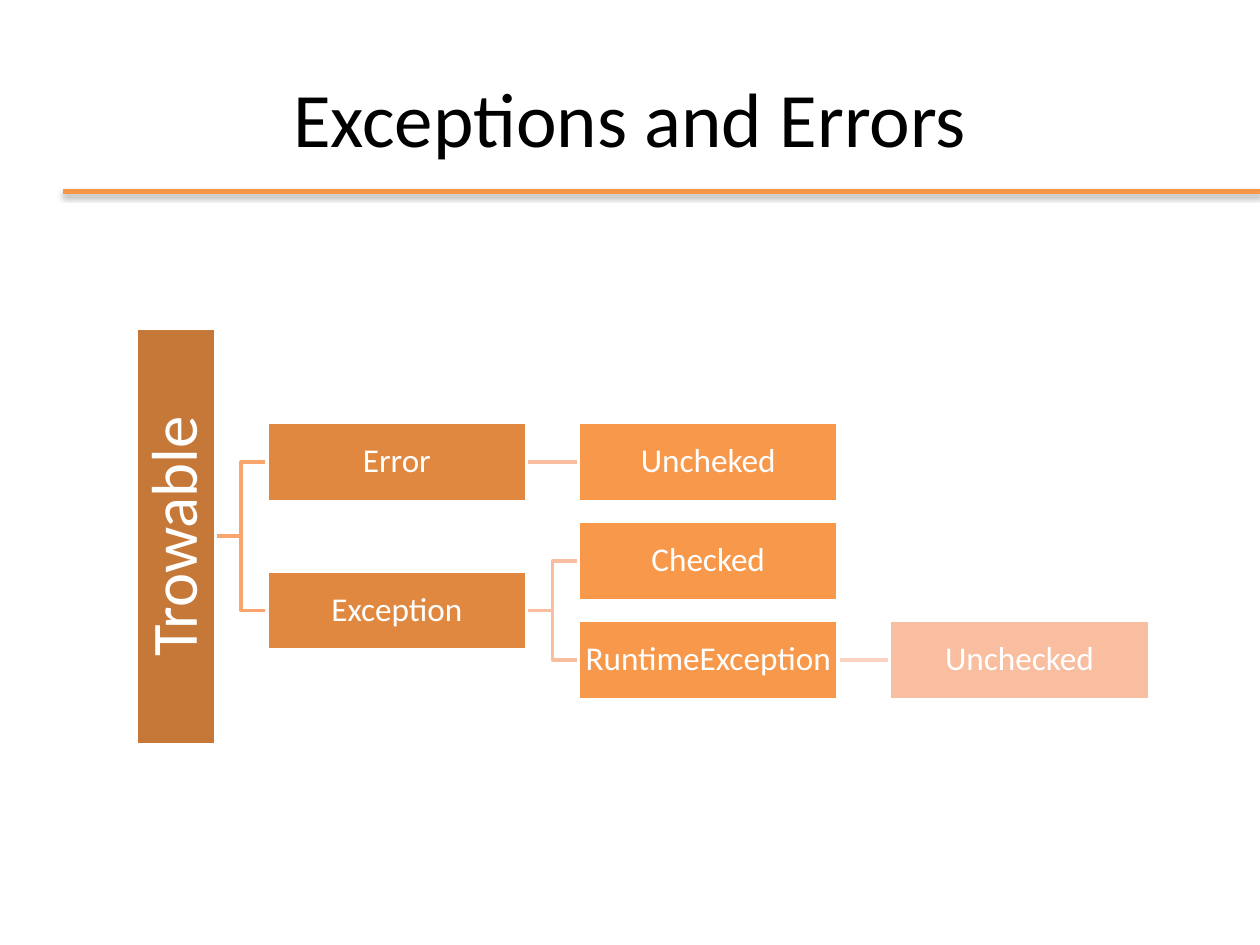
from lxml import etree
from pptx import Presentation
from pptx.dml.color import RGBColor
from pptx.enum import shapes, text
from pptx.oxml import parse_xml
from pptx.oxml.ns import nsdecls, qn
from pptx.util import Pt

FONT = "Calibri"
NODE_W, NODE_H = 148.4, 45.2
GAP = 29.5
ROW_PITCH = 56.6
ROOT_LENGTH = 238.1
FILLS = ["C67838", "E08840", "F7984B", "F9BE9F"]
LINK_COLORS = ["F8A56E", "F9BE9F", "FBD3C1"]
TREE = ("Trowable", [
    ("Error", [("Uncheked", [])]),
    ("Exception", [
        ("Checked", []),
        ("RuntimeException", [("Unchecked", [])]),
    ]),
])


def rgb(value):
    return RGBColor.from_string(value)


def add_line(slide, kind, start, end, color, width):
    """Add a connector without shadow behind everything else."""
    line = slide.shapes.add_connector(kind, *map(Pt, (*start, *end)))
    line.line.color.rgb = rgb(color)
    line.line.width = Pt(width)
    etree.SubElement(line._element.spPr, qn("a:effectLst"))
    slide.shapes._spTree.insert(2, line._element)
    return line


def add_title(slide, left, top, width, height):
    title = slide.shapes.title
    title.left, title.top, title.width, title.height = map(Pt, (left, top, width, height))
    tf = title.text_frame
    tf.text = "Exceptions and Errors"
    tf.vertical_anchor = text.MSO_ANCHOR.MIDDLE
    p = tf.paragraphs[0]
    p.alignment = text.PP_ALIGN.CENTER
    p.font.name, p.font.size = FONT, Pt(44)
    p.font.color.rgb = rgb("000000")

    y = top + 87.8
    rule = add_line(slide, shapes.MSO_CONNECTOR.STRAIGHT,
                    (left, y), (left + width + 36, y), "F79646", 3)
    rule._element.spPr.find(qn("a:effectLst")).append(parse_xml(
        f'<a:outerShdw {nsdecls("a")} blurRad="40000" dist="23000" dir="5400000" rotWithShape="0">'
        '<a:srgbClr val="000000"><a:alpha val="35000"/></a:srgbClr></a:outerShdw>'))


def add_node(slide, label, center_x, center_y, width, fill, size, inset):
    sp = slide.shapes.add_shape(
        shapes.MSO_SHAPE.RECTANGLE, Pt(center_x - width / 2), Pt(center_y - NODE_H / 2),
        Pt(width), Pt(NODE_H))
    sp.shadow.inherit = False
    sp.fill.solid()
    sp.fill.fore_color.rgb = rgb(fill)
    sp.line.color.rgb = rgb("FFFFFF")
    sp.line.width = Pt(2)
    tf = sp.text_frame
    tf.word_wrap = True
    tf.vertical_anchor = text.MSO_ANCHOR.MIDDLE
    tf.margin_left = tf.margin_right = tf.margin_top = tf.margin_bottom = Pt(inset)
    p = tf.paragraphs[0]
    p.text = label
    p.alignment = text.PP_ALIGN.CENTER
    p.line_spacing = 0.9
    p.font.name, p.font.size = FONT, Pt(size)
    p.font.color.rgb = rgb("FFFFFF")
    return sp


def count_leaves(node):
    return sum(map(count_leaves, node[1])) or 1


def add_branch(slide, node, left, top, depth=0):
    """Add a node with its descendants; return its shape and vertical centre."""
    label, children = node
    is_root = depth == 0
    right = left + (NODE_H if is_root else NODE_W)
    placed, child_top = [], top
    for child in children:
        placed.append(add_branch(slide, child, right + GAP, child_top, depth + 1))
        child_top += ROW_PITCH * count_leaves(child)
    y = (placed[0][1] + placed[-1][1]) / 2 if placed else top + NODE_H / 2

    width, size, inset = (ROOT_LENGTH, 37, 2) if is_root else (NODE_W, 19, 0.8)
    sp = add_node(slide, label, (left + right) / 2, y, width, FILLS[depth], size, inset)
    if is_root:
        sp.rotation = 270

    for child_sp, child_y in placed:
        straight = len(placed) == 1
        kind = shapes.MSO_CONNECTOR.STRAIGHT if straight else shapes.MSO_CONNECTOR.ELBOW
        link = add_line(slide, kind, (right, y), (right + GAP, child_y), LINK_COLORS[depth], 2)
        if straight:
            link.begin_connect(sp, 3)
            link.end_connect(child_sp, 1)
    return sp, y


def main():
    prs = Presentation()
    prs.slide_width, prs.slide_height = Pt(720), Pt(540)
    slide = prs.slides.add_slide(prs.slide_layouts[5])
    add_title(slide, 36, 21.6, 648, 90)
    add_branch(slide, TREE, 77.9, 241.4)
    prs.save("out.pptx")


if __name__ == "__main__":
    main()
